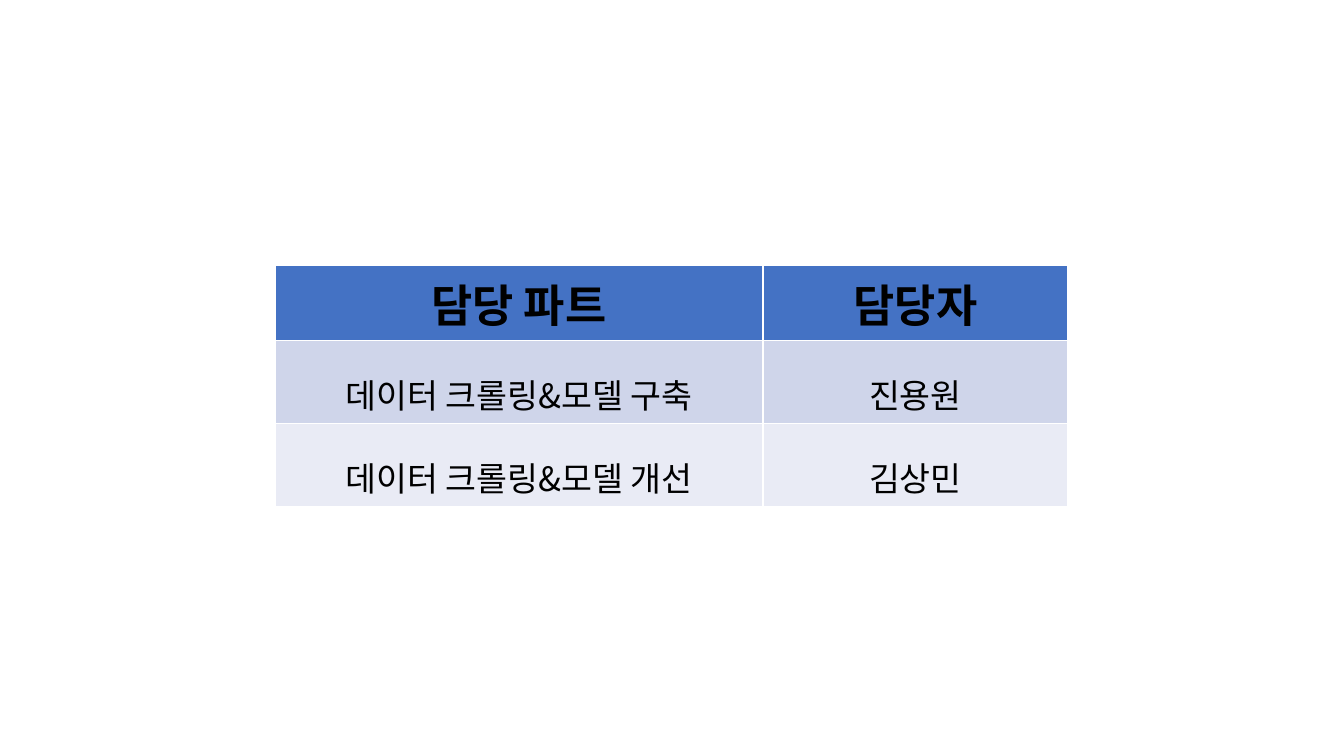
import dataclasses

import lxml.etree
import pptx
import pptx.dml.color
import pptx.enum.text
import pptx.oxml.ns
import pptx.util


@dataclasses.dataclass(frozen=True)
class Theme:
    font: str = "Noto Sans CJK KR"
    ink: str = "000000"
    head: str = "4472C4"
    bands: tuple = ("CFD5EA", "E9EBF5")
    head_size: int = 32
    body_size: int = 24
    body_lead: float = 1.5


THEME = Theme()
SCALE = 914400 / 100.8  # EMU in one px

ROWS = (
    ("담당 파트", "담당자"),
    ("데이터 크롤링&모델 구축", "진용원"),
    ("데이터 크롤링&모델 개선", "김상민"),
)
WIDTHS = (488, 305)
HEIGHTS = (74, 83, 83)


def px(count):
    return pptx.util.Emu(round(count * SCALE))


def color(code):
    return pptx.dml.color.RGBColor.from_string(code)


def set_font(para, size, bold):
    font = para.font
    font.name = THEME.font
    font.size = pptx.util.Pt(size)
    font.bold = bold
    font.color.rgb = color(THEME.ink)
    # Hangul takes the East Asian typeface
    tag = pptx.oxml.ns.qn("a:ea")
    latin = para._p.pPr.find(".//" + pptx.oxml.ns.qn("a:latin"))
    east = lxml.etree.Element(tag, typeface=THEME.font)
    latin.addnext(east)


def fill_cell(cell, text, row):
    is_head = row == 0
    back = THEME.head if is_head else THEME.bands[(row - 1) % 2]
    cell.fill.solid()
    cell.fill.fore_color.rgb = color(back)
    cell.text = text
    para = cell.text_frame.paragraphs[0]
    para.alignment = pptx.enum.text.PP_ALIGN.CENTER
    if not is_head:
        para.line_spacing = THEME.body_lead
    set_font(para, THEME.head_size if is_head else THEME.body_size, is_head)


def add_grid(slide, left, top):
    frame = slide.shapes.add_table(
        len(ROWS), len(WIDTHS), px(left), px(top),
        px(sum(WIDTHS)), px(sum(HEIGHTS)))
    table = frame.table
    for col, width in zip(table.columns, WIDTHS):
        col.width = px(width)
    for line, height in zip(table.rows, HEIGHTS):
        line.height = px(height)
    for row, texts in enumerate(ROWS):
        for col, text in enumerate(texts):
            fill_cell(table.cell(row, col), text, row)


def main():
    deck = pptx.Presentation()
    deck.slide_width = px(1344)
    deck.slide_height = px(756)
    # Blank layout: the slide has no title
    slide = deck.slides.add_slide(deck.slide_layouts[6])
    # Parts and the people in charge
    add_grid(slide, 275, 265)
    deck.save("out.pptx")


if __name__ == "__main__":
    main()
